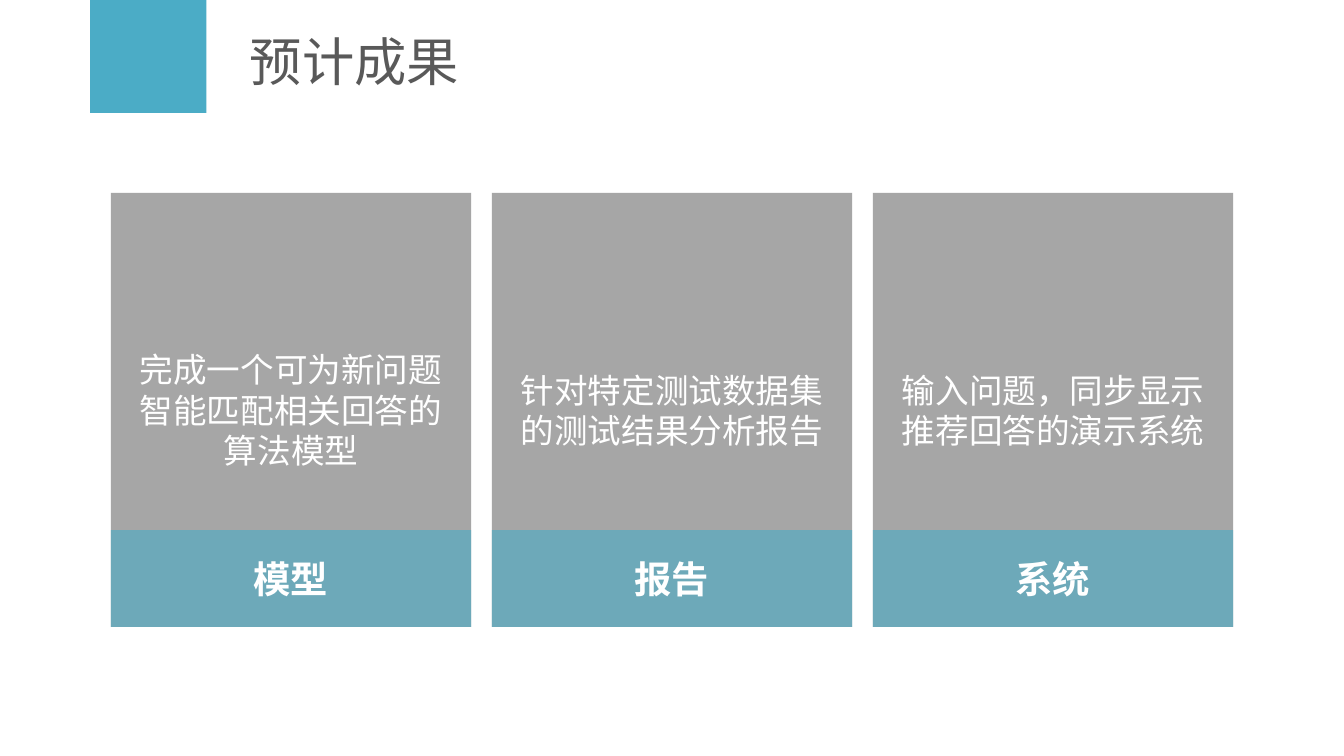
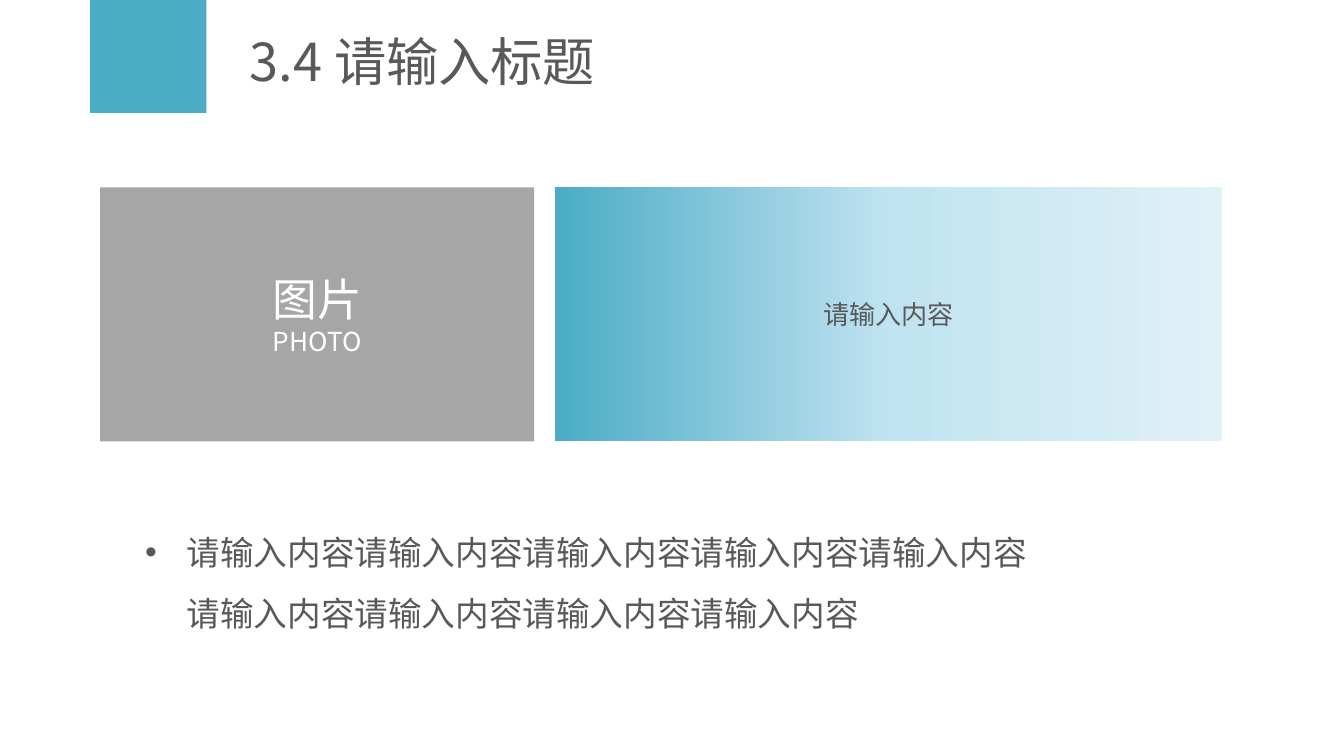
from dataclasses import dataclass

from lxml.etree import SubElement
from pptx import Presentation
from pptx.dml.color import RGBColor
from pptx.enum.shapes import MSO_SHAPE as Preset
from pptx.enum.text import MSO_ANCHOR as Anchor, MSO_AUTO_SIZE as AutoSize, PP_ALIGN as Align
from pptx.oxml.ns import qn
from pptx.util import Inches, Pt

SLIDE_WIDTH = Inches(10)
SLIDE_HEIGHT = SLIDE_WIDTH * 9 // 16
UNIT = SLIDE_WIDTH / 100  # one grid step, used for both columns and rows


@dataclass(frozen=True)
class Theme:
    font: str = "Noto Sans CJK SC"
    teal: str = "4BACC6"
    grey: str = "A6A6A6"
    ink: str = "595959"
    white: str = "FFFFFF"
    fade: tuple = ((0, "4BACC6"), (50, "C0E3F1"), (100, "E0F1F7"))
    title: int = 28
    photo: int = 24
    label: int = 20
    body: int = 18
    small: int = 14


@dataclass(frozen=True)
class Box:
    """A rectangle in grid steps."""
    left: float
    top: float
    width: float
    height: float

    def emu(self):
        return [round(step * UNIT) for step in (self.left, self.top, self.width, self.height)]

    def columns(self, count, gap):
        width = (self.width - gap * (count - 1)) / count
        return [Box(self.left + i * (width + gap), self.top, width, self.height)
                for i in range(count)]

    def bottom(self, height):
        return Box(self.left, self.top + self.height - height, self.width, height)

    def split(self, first_width, gap):
        rest = first_width + gap
        return (Box(self.left, self.top, first_width, self.height),
                Box(self.left + rest, self.top, self.width - rest, self.height))


THEME = Theme()
BAND = Box(6.7, 0, 8.65, 8.4)
TITLE = Box(17.6, 1.35, 78.9, 6.3)
CARDS = Box(8.25, 14.35, 83.5, 32.3)
HERO = Box(7.45, 13.95, 83.5, 18.9)
NOTES = Box(9.8, 37.6, 69.3, 14.1)
GAP = 1.55


def write(frame, text, *, size, color=THEME.white, bold=False, align=Align.CENTER,
          anchor=Anchor.MIDDLE, inset=True, new=False, spacing=1.0, bullet=None):
    """Write one paragraph; new=True adds it below the text already there."""
    frame.word_wrap = True
    frame.vertical_anchor = anchor
    side, edge = (0.1, 0.05) if inset else (0, 0)
    frame.margin_left = frame.margin_right = Inches(side)
    frame.margin_top = frame.margin_bottom = Inches(edge)
    paragraph = frame.add_paragraph() if new else frame.paragraphs[0]
    paragraph.alignment = align
    paragraph.line_spacing = spacing
    paragraph.space_before = Pt(0)
    if bullet:
        props = paragraph._p.get_or_add_pPr()
        indent = Inches(0.31)
        props.set("marL", str(indent))
        props.set("indent", str(-indent))
        SubElement(props, qn("a:buChar"), char=bullet)
    run = paragraph.add_run()
    run.text = text
    run.font.size = Pt(size)
    run.font.bold = bold
    run.font.color.rgb = RGBColor.from_string(color)
    run.font.name = THEME.font
    SubElement(run._r.get_or_add_rPr(), qn("a:ea"), typeface=THEME.font)


def panel(shapes, box, fill, opacity=100):
    shape = shapes.add_shape(Preset.RECTANGLE, *box.emu())
    shape.shadow.inherit = False
    shape.line.fill.background()
    shape.fill.solid()
    shape.fill.fore_color.rgb = RGBColor.from_string(fill)
    if opacity < 100:
        color = shape.element.spPr.find(".//" + qn("a:srgbClr"))
        SubElement(color, qn("a:alpha"), val=str(opacity * 1000))
    return shape


def fade_across(shape, stops):
    """Give the shape a left-to-right gradient through all the stops."""
    shape.fill.gradient()
    shape.fill.gradient_angle = 0
    stop_list = shape.element.spPr.find(".//" + qn("a:gsLst"))
    for old in list(stop_list):
        stop_list.remove(old)
    for percent, color in stops:
        stop = SubElement(stop_list, qn("a:gs"), pos=str(percent * 1000))
        SubElement(stop, qn("a:srgbClr"), val=color)


def place(shape, box):
    shape.left, shape.top, shape.width, shape.height = box.emu()


def titled_slide(prs, layout_name, title):
    slide = prs.slides.add_slide(prs.slide_layouts.get_by_name(layout_name))
    place(slide.shapes.title, TITLE)
    write(slide.shapes.title.text_frame, title, size=THEME.title, color=THEME.ink,
          align=Align.LEFT)
    return slide


def share_band(prs, slide):
    """Draw the corner band and hand it to the master, so every slide has it."""
    band = panel(slide.shapes, BAND, THEME.teal)
    prs.slide_master.shapes.element.append(band.element)


def result_card(slide, box, label, description):
    card = slide.shapes.add_group_shape().shapes
    write(panel(card, box, THEME.grey).text_frame, description, size=THEME.body)
    strip = panel(card, box.bottom(7.2), THEME.teal, opacity=62)
    write(strip.text_frame, label, size=THEME.label, bold=True, inset=False)


def results_slide(prs):
    slide = titled_slide(prs, "Title Only", "预计成果")
    results = (
        ("模型", "完成一个可为新问题智能匹配相关回答的算法模型"),
        ("报告", "针对特定测试数据集的测试结果分析报告"),
        ("系统", "输入问题，同步显示推荐回答的演示系统"),
    )
    for box, result in zip(CARDS.columns(len(results), GAP), results):
        result_card(slide, box, *result)
    return slide


def hero_row(slide, box):
    photo_box, message_box = box.split(32.3, GAP)
    photo = panel(slide.shapes, photo_box, THEME.grey).text_frame
    write(photo, "图片", size=THEME.photo)
    write(photo, "PHOTO", size=THEME.small, new=True)
    message = panel(slide.shapes, message_box, THEME.teal)
    fade_across(message, THEME.fade)
    write(message.text_frame, "请输入内容", size=THEME.small, color=THEME.ink, inset=False)


def photo_slide(prs):
    slide = titled_slide(prs, "Title and Content", "3.4 请输入标题")
    hero_row(slide, HERO)
    notes = slide.placeholders[1]
    place(notes, NOTES)
    write(notes.text_frame, "请输入内容" * 9, size=THEME.body, color=THEME.ink,
          align=Align.LEFT, anchor=Anchor.TOP, spacing=1.5, bullet="•")
    notes.text_frame.auto_size = AutoSize.SHAPE_TO_FIT_TEXT


def main():
    prs = Presentation()
    prs.slide_width, prs.slide_height = SLIDE_WIDTH, SLIDE_HEIGHT
    share_band(prs, results_slide(prs))
    photo_slide(prs)
    prs.save("out.pptx")


if __name__ == "__main__":
    main()
